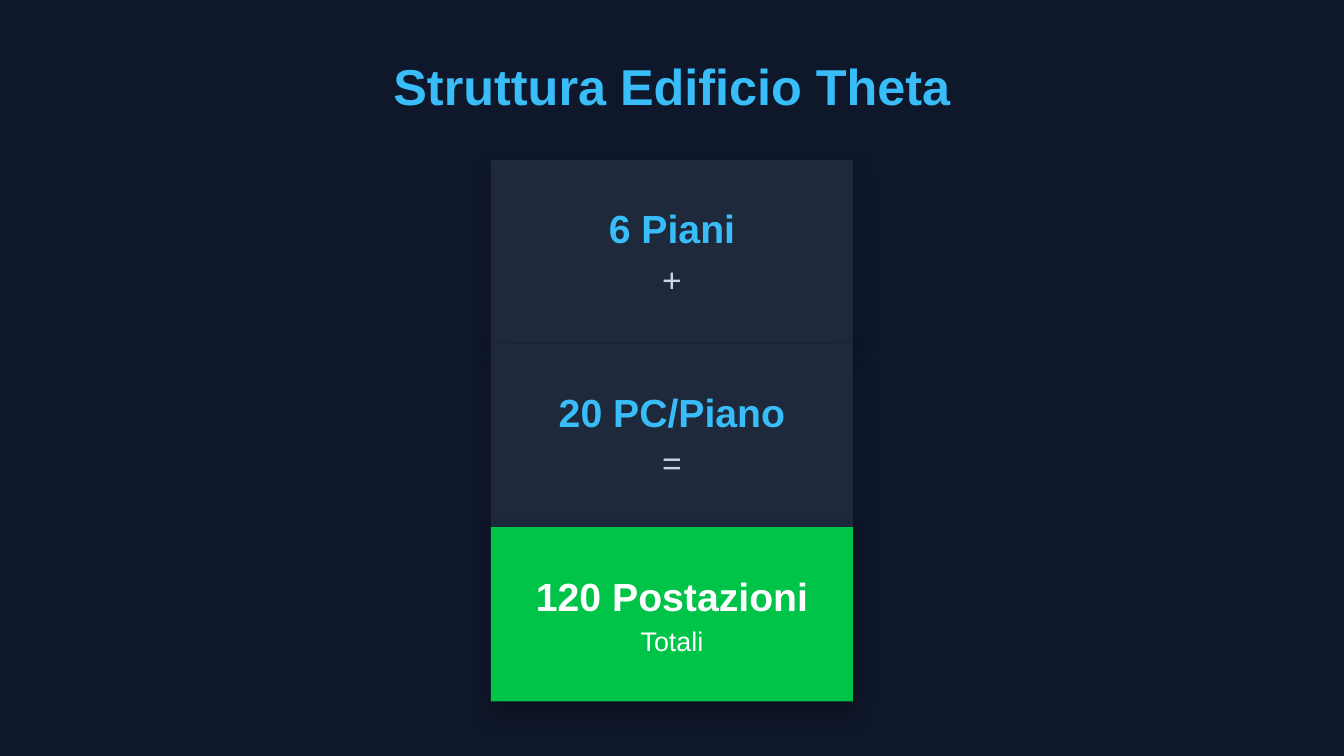
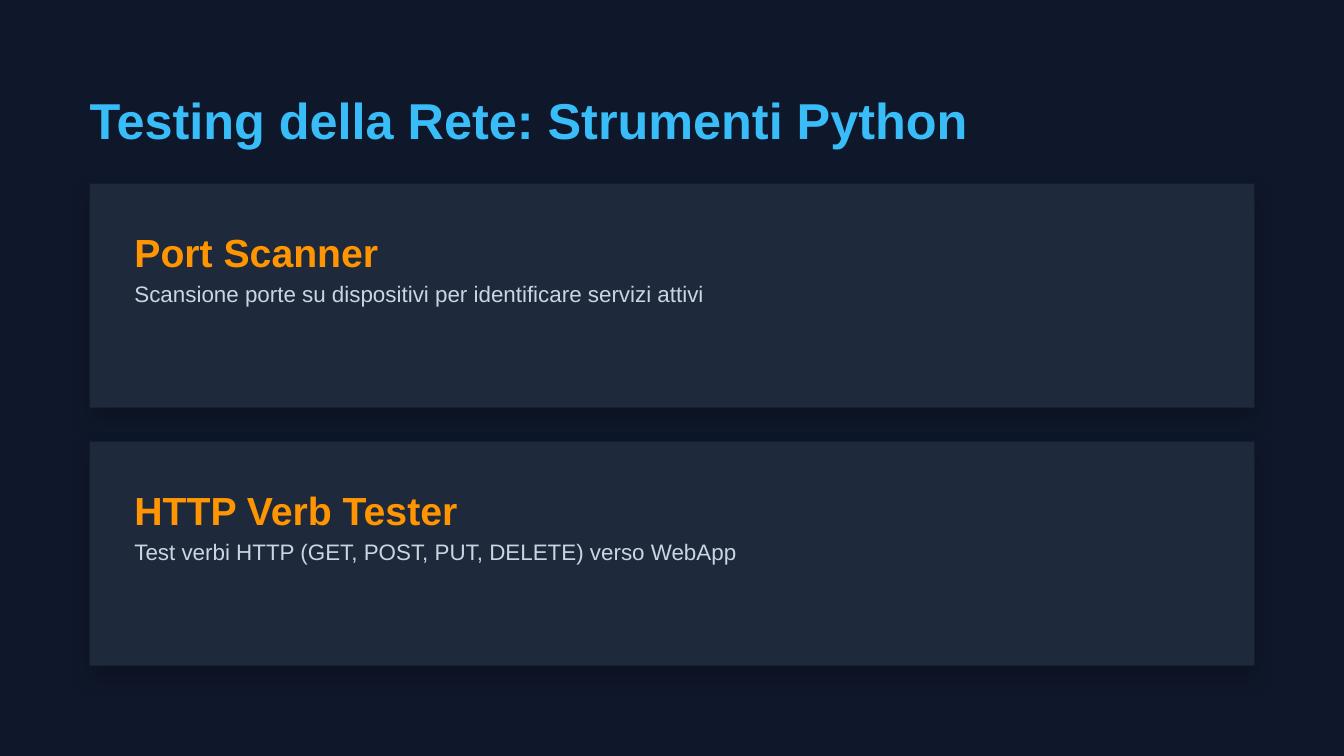
import pptx
import pptx.dml.color
import pptx.enum.shapes
import pptx.enum.text
import pptx.oxml
import pptx.oxml.ns
import pptx.util

NIGHT, SLATE, GREEN = "0F172A", "1E293B", "00C447"
SKY, ORANGE, MIST, WHITE = "38BDF8", "FF9500", "CBD5E1", "FFFFFF"
FONT = "Arial"
CELL_PT = 24
COLUMNS = 30
ROWS = 16.875
CENTER = pptx.enum.text.PP_ALIGN.CENTER
LEFT = pptx.enum.text.PP_ALIGN.LEFT


def color(code):
    return pptx.dml.color.RGBColor.from_string(code)


def cells(count):
    return pptx.util.Pt(count * CELL_PT)


class Deck:
    """Draw dark slides with shadowed panels on a grid of square cells."""

    def __init__(self):
        self.deck = pptx.Presentation()
        self.deck.slide_width = cells(COLUMNS)
        self.deck.slide_height = cells(ROWS)
        self.slide = None

    def new_slide(self):
        self.slide = self.deck.slides.add_slide(self.deck.slide_layouts[5])
        background = self.slide.background.fill
        background.solid()
        background.fore_color.rgb = color(NIGHT)

    def fill_text(self, holder, words, size, ink, leading, align, bold=False):
        frame = holder.text_frame
        frame.margin_left = frame.margin_right = 0
        frame.margin_top = frame.margin_bottom = 0
        frame.word_wrap = True
        frame.auto_size = pptx.enum.text.MSO_AUTO_SIZE.NONE
        frame.vertical_anchor = pptx.enum.text.MSO_ANCHOR.TOP
        line = frame.paragraphs[0]
        line.alignment = align
        line.line_spacing = pptx.util.Pt(leading)
        run = line.add_run()
        run.text = words
        run.font.name = FONT
        run.font.size = pptx.util.Pt(size)
        run.font.bold = bold
        run.font.color.rgb = color(ink)

    def title(self, words, left, top, width, align):
        heading = self.slide.shapes.title
        leading = 32.4
        heading.left, heading.top = cells(left), cells(top)
        heading.width, heading.height = cells(width), cells(leading / CELL_PT)
        self.fill_text(heading, words, 27, SKY, leading, align, bold=True)

    def text(self, words, left, top, width, size, ink, leading, align, bold=False):
        box = self.slide.shapes.add_textbox(
            cells(left), cells(top), cells(width), cells(leading / CELL_PT))
        self.fill_text(box, words, size, ink, leading, align, bold)

    def panel(self, left, top, width, height, fill=SLATE, shade=20):
        block = self.slide.shapes.add_shape(
            pptx.enum.shapes.MSO_SHAPE.RECTANGLE,
            cells(left), cells(top), cells(width), cells(height))
        block.fill.solid()
        block.fill.fore_color.rgb = color(fill)
        block.line.fill.background()
        block.shadow.inherit = False
        effects = block.element.spPr.find(pptx.oxml.ns.qn("a:effectLst"))
        effects.append(pptx.oxml.parse_xml(
            f'<a:outerShdw {pptx.oxml.ns.nsdecls("a")} blurRad="{pptx.util.Pt(12)}" '
            f'dist="{pptx.util.Pt(6)}" dir="5400000" algn="bl" rotWithShape="0">'
            f'<a:srgbClr val="000000"><a:alpha val="{shade * 1000}"/></a:srgbClr>'
            '</a:outerShdw>'))

    def entry(self, heading, detail, left, top, width, ink, size, leading,
              align, detail_ink=MIST):
        heading_leading = 25.2
        self.text(heading, left, top, width, 21, ink, heading_leading, align, bold=True)
        self.text(detail, left, top + heading_leading / CELL_PT, width,
                  size, detail_ink, leading, align)

    def save(self):
        self.deck.save("out.pptx")


def building(deck):
    deck.new_slide()
    title_width, panel_width, text_width = 12.7, 8.08, 6.2
    first_top, pitch = 3.57, 4.1
    deck.title("Struttura Edificio Theta", (COLUMNS - title_width) / 2, 1.23,
               title_width, CENTER)
    floors = [
        ("6 Piani", "+", SLATE, 20, pitch, SKY, MIST, 18, 25.2),
        ("20 PC/Piano", "=", SLATE, 20, pitch, SKY, MIST, 18, 25.2),
        ("120 Postazioni", "Totali", GREEN, 30, 3.89, WHITE, WHITE, 14.4, 20.2),
    ]
    for index, (count, detail, fill, shade, height, ink, detail_ink,
                size, leading) in enumerate(floors):
        top = first_top + index * pitch
        deck.panel((COLUMNS - panel_width) / 2, top, panel_width, height, fill, shade)
        deck.entry(count, detail, (COLUMNS - text_width) / 2, top + 1, text_width,
                   ink, size, leading, CENTER, detail_ink)


def testing(deck):
    deck.new_slide()
    margin, first_top, pitch = 2, 4.1, 5.76
    deck.title("Testing della Rete: Strumenti Python", margin, 2, 26.5, LEFT)
    tools = [
        ("Port Scanner", "Scansione porte su dispositivi per identificare servizi attivi"),
        ("HTTP Verb Tester", "Test verbi HTTP (GET, POST, PUT, DELETE) verso WebApp"),
    ]
    for index, (tool, purpose) in enumerate(tools):
        top = first_top + index * pitch
        deck.panel(margin, top, COLUMNS - 2 * margin, 5)
        deck.entry(tool, purpose, margin + 1, top + 1, 24.5, ORANGE, 12, 16.8, LEFT)


def main():
    deck = Deck()
    building(deck)
    testing(deck)
    deck.save()


if __name__ == "__main__":
    main()
